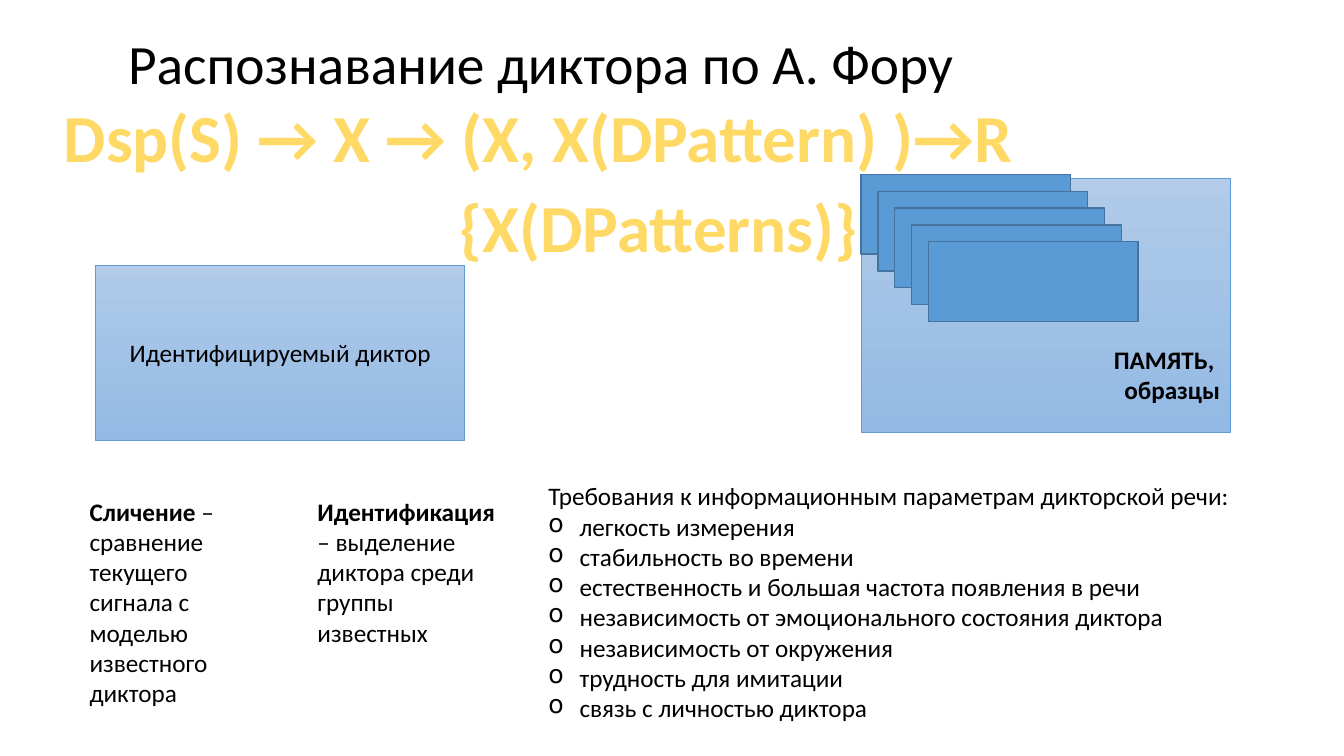
import pptx
import pptx.util
import pptx.dml.color
import pptx.enum.shapes
import pptx.enum.text
import pptx.oxml
import pptx.oxml.ns

Inches, Pt = pptx.util.Inches, pptx.util.Pt
ALIGN = pptx.enum.text.PP_ALIGN
ANCHOR = pptx.enum.text.MSO_ANCHOR
FONT = "Calibri"

# Content: a paragraph is a list of (text, bold) runs
TITLE = "Распознавание диктора по А. Фору"
FORMULAS = [
    ("Dsp(S) → X → (X, X(DPattern) )→R", (0.39, 0.9, 9.9, 0.91), ALIGN.CENTER),
    ("{X(DPatterns)}", (4.46, 1.79, 4.36, 0.91), ALIGN.LEFT),
]
SPEAKER = [[("Идентифицируемый диктор", False)]]
MEMORY = [[("ПАМЯТЬ, ", True)], [("образцы", True)]]
DEFINITIONS = [
    ("Сличение", " – сравнение текущего сигнала с моделью известного диктора",
     (0.79, 4.87, 1.8, 2.22)),
    ("Идентификация", " – выделение диктора среди группы известных",
     (3.05, 4.87, 2.08, 1.62)),
]
REQUIREMENTS_HEAD = "Требования к информационным параметрам дикторской речи:"
REQUIREMENTS = [
    "легкость измерения",
    "стабильность во времени",
    "естественность и большая частота появления в речи",
    "независимость от эмоционального состояния диктора",
    "независимость от окружения",
    "трудность для имитации",
    "связь с личностью диктора",
]
PATTERN_COUNT, PATTERN_STEP = 5, 0.167


def rgb(value):
    return pptx.dml.color.RGBColor.from_string(value)


def write(tf, paragraphs, size=18, color="000000", align=ALIGN.LEFT):
    for i, runs in enumerate(paragraphs):
        p = tf.paragraphs[0] if i == 0 else tf.add_paragraph()
        p.alignment = align
        p.font.name, p.font.size = FONT, Pt(size)
        p.font.color.rgb = rgb(color)
        for text, bold in runs:
            r = p.add_run()
            r.text, r.font.bold = text, bold


def add_text(box, paragraphs, wrap=True, **style):
    tf = s.shapes.add_textbox(*map(Inches, box)).text_frame
    tf.word_wrap = wrap
    write(tf, paragraphs, **style)
    return tf


def add_rect(box, line, width):
    sp = s.shapes.add_shape(pptx.enum.shapes.MSO_SHAPE.RECTANGLE, *map(Inches, box))
    sp.shadow.inherit = False
    sp.line.color.rgb, sp.line.width = rgb(line), Pt(width)
    return sp


def add_panel(box, paragraphs, align):
    sp = add_rect(box, "5B9BD5", 0.5)
    sp.fill.gradient()
    sp.fill.gradient_angle = 270
    for stop, color in zip(sp.fill.gradient_stops, ("B1CBE9", "93B9E4")):
        stop.color.rgb = rgb(color)
    tf = sp.text_frame
    tf.vertical_anchor = ANCHOR.MIDDLE
    write(tf, paragraphs, align=align)
    return tf


def add_bullet(p, char):
    pPr = p._p.get_or_add_pPr()
    pPr.set("marL", str(Inches(0.31)))
    pPr.set("indent", str(-Inches(0.31)))
    bullet = pptx.oxml.parse_xml(
        f'<a:buChar {pptx.oxml.ns.nsdecls("a")} char="{char}"/>')
    pPr.insert_element_before(bullet, "a:tabLst", "a:defRPr", "a:extLst")


prs = pptx.Presentation()
prs.slide_width, prs.slide_height = Inches(13.33), Inches(7.5)
s = prs.slides.add_slide(prs.slide_layouts[5])

# Title
title = s.shapes.title
title.left, title.top, title.width, title.height = map(Inches, (1.17, 0.32, 11.5, 0.67))
title.text_frame.vertical_anchor = ANCHOR.MIDDLE
write(title.text_frame, [[(TITLE, False)]], size=39.6)
title.text_frame.paragraphs[0].line_spacing = 0.9

# Speaker and memory panels
add_panel((0.95, 2.63, 3.66, 1.74), SPEAKER, ALIGN.CENTER)
memory = add_panel((8.54, 1.77, 3.66, 2.52), MEMORY, ALIGN.RIGHT)
memory.margin_top = Inches(1.42)

# Cascade of stored patterns
for i in range(PATTERN_COUNT):
    shift = i * PATTERN_STEP
    sp = add_rect((8.54 + shift, 1.73 + shift, 2.08, 0.79), "43739E", 1)
    sp.fill.solid()
    sp.fill.fore_color.rgb = rgb("5B9BD5")

# Definitions
for term, meaning, box in DEFINITIONS:
    add_text(box, [[(term, True), (meaning, False)]])

# Requirements list
lines = [[(text, False)] for text in [REQUIREMENTS_HEAD] + REQUIREMENTS]
requirements = add_text((5.34, 4.72, 7.42, 2.52), lines)
for p in requirements.paragraphs[1:]:
    add_bullet(p, "o")

# Recognition formulas
for text, box, align in FORMULAS:
    add_text(box, [[(text, True)]], wrap=False, size=48, color="FFD966", align=align)

prs.save("out.pptx")
